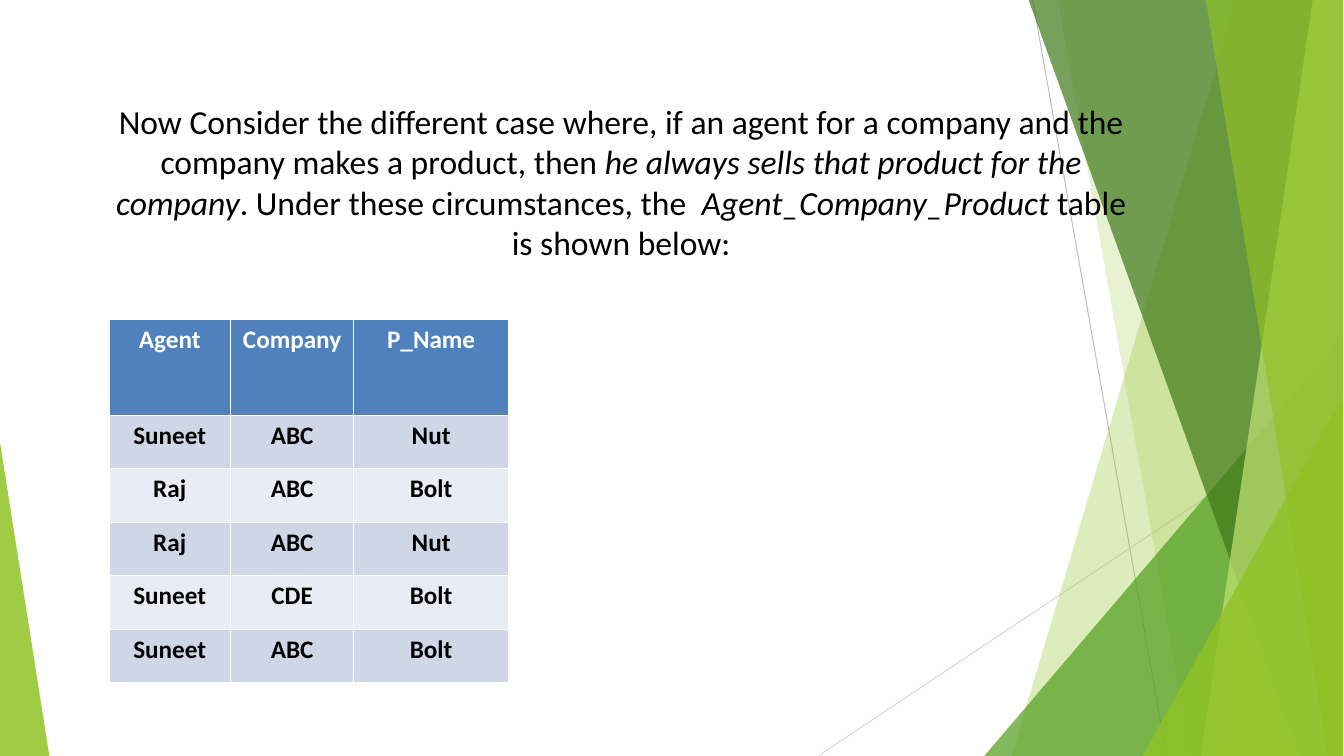
from dataclasses import dataclass

from lxml import etree
from pptx import Presentation
from pptx.dml.color import RGBColor
from pptx.enum.shapes import MSO_CONNECTOR
from pptx.enum.text import MSO_ANCHOR, MSO_AUTO_SIZE, PP_ALIGN
from pptx.oxml.ns import qn
from pptx.util import Pt

PX = 9144
WIDTH, HEIGHT, RIGHT = 1334, 750, 1333
STRAIGHT = MSO_CONNECTOR.STRAIGHT
TOP = MSO_ANCHOR.TOP
CENTER = PP_ALIGN.CENTER
NO_AUTOFIT = MSO_AUTO_SIZE.NONE


@dataclass(frozen=True)
class Theme:
    font: str = "Calibri"
    title_size: int = 24
    table_size: int = 18
    text: str = "000000"
    white: str = "FFFFFF"
    header: str = "4F81BD"
    bands: tuple = ("CFD7E7", "E8ECF4")
    lime: str = "90C225"
    green: str = "539F20"
    forest: str = "3E7818"
    pale: str = "C0E374"
    rule: str = "BEBEBE"
    light_rule: str = "D9D9D9"
    rule_width: float = 0.71
    border_width: float = 0.4
    header_border_width: float = 1.19


THEME = Theme()

RULES = [
    ((1025, 0), (1158, HEIGHT), THEME.rule),
    ((RIGHT, 403), (812, HEIGHT), THEME.light_rule),
]

CORNER = (RIGHT, HEIGHT)
FACETS = [
    ([(RIGHT, 0), (1227, 0), (1004, HEIGHT), CORNER], THEME.lime, 30),
    ([(RIGHT, 0), (1050, 0), (1182, HEIGHT), CORNER], THEME.lime, 20),
    ([(RIGHT, 333), (977, HEIGHT), CORNER], THEME.green, 72),
    ([(RIGHT, 0), (1021, 0), (1291, HEIGHT), CORNER], THEME.forest, 70),
    ([(RIGHT, 0), (1303, 0), (1192, HEIGHT), CORNER], THEME.pale, 70),
    ([(RIGHT, 0), (1197, 0), (1318, HEIGHT), CORNER], THEME.lime, 65),
    ([(RIGHT, 393), (1134, HEIGHT), CORNER], THEME.lime, 80),
    ([(0, 439), (0, HEIGHT), (49, HEIGHT)], THEME.lime, 85),
]

TITLE = [
    ("Now Consider the different case where, if an agent for a company and "
     "the company makes a product, then ", False),
    ("he always sells that product for the company", True),
    (". Under these circumstances, the  ", False),
    ("Agent_Company_Product ", True),
    ("table is shown below:", False),
]

AGENT_ROWS = [
    ("Agent", "Company", "P_Name"),
    ("Suneet", "ABC", "Nut"),
    ("Raj", "ABC", "Bolt"),
    ("Raj", "ABC", "Nut"),
    ("Suneet", "CDE", "Bolt"),
    ("Suneet", "ABC", "Bolt"),
]
COLUMN_WIDTHS = (121, 122, 154)
HEADER_HEIGHT, ROW_HEIGHT = 95, 53


def style_font(font, size, color, bold=False, italic=False):
    font.name = THEME.font
    font.size = Pt(size)
    font.bold = bold
    font.italic = italic
    font.color.rgb = RGBColor.from_string(color)


def add_rule(slide, start, end, color):
    points = [value * PX for value in (*start, *end)]
    rule = slide.shapes.add_connector(STRAIGHT, *points)
    rule.line.color.rgb = RGBColor.from_string(color)
    rule.line.width = Pt(THEME.rule_width)
    etree.SubElement(rule._element.spPr, qn("a:effectLst"))


def add_facet(slide, points, color, opacity):
    builder = slide.shapes.build_freeform(*points[0], scale=PX)
    builder.add_line_segments(points[1:], close=True)
    facet = builder.convert_to_shape()
    facet.shadow.inherit = False
    facet.line.fill.background()
    facet.fill.solid()
    facet.fill.fore_color.rgb = RGBColor.from_string(color)
    solid_color = facet._element.spPr.find(qn("a:solidFill"))[0]
    etree.SubElement(solid_color, qn("a:alpha"), val=str(opacity * 1000))


def write_title(slide, spans):
    title = slide.shapes.title
    title.left, title.top = 108 * PX, 100 * PX
    title.width, title.height = 1017 * PX, 236 * PX
    slide.shapes._spTree.append(title._element)
    frame = title.text_frame
    frame.margin_left = frame.margin_right = 0
    frame.margin_top = frame.margin_bottom = 0
    frame.word_wrap = True
    frame.auto_size = NO_AUTOFIT
    frame.vertical_anchor = TOP
    para = frame.paragraphs[0]
    para.alignment = CENTER
    for text, italic in spans:
        span = para.add_run()
        span.text = text
        style_font(span.font, THEME.title_size, THEME.text, italic=italic)


def add_border(cell, side, width):
    properties = cell._tc.get_or_add_tcPr()
    border = etree.SubElement(properties, qn(f"a:ln{side}"), w=str(Pt(width)))
    fill = etree.SubElement(border, qn("a:solidFill"))
    etree.SubElement(fill, qn("a:srgbClr"), val=THEME.white)


def fill_cell(cell, text, row):
    is_header = row == 0
    for side in "LRTB":
        heavy = (row, side) in ((0, "B"), (1, "T"))
        width = THEME.header_border_width if heavy else THEME.border_width
        add_border(cell, side, width)
    background = THEME.header if is_header else THEME.bands[(row - 1) % 2]
    cell.fill.solid()
    cell.fill.fore_color.rgb = RGBColor.from_string(background)
    cell.margin_left = cell.margin_right = 8 * PX
    cell.margin_top = cell.margin_bottom = 5 * PX
    cell.vertical_anchor = TOP
    para = cell.text_frame.paragraphs[0]
    para.text = text
    para.alignment = CENTER
    color = THEME.white if is_header else THEME.text
    style_font(para.runs[0].font, THEME.table_size, color, bold=True)


def add_agent_table(slide, left, top, rows):
    heights = [HEADER_HEIGHT] + [ROW_HEIGHT] * (len(rows) - 1)
    table = slide.shapes.add_table(
        len(rows), len(COLUMN_WIDTHS), left * PX, top * PX,
        sum(COLUMN_WIDTHS) * PX, sum(heights) * PX).table
    for column, width in zip(table.columns, COLUMN_WIDTHS):
        column.width = width * PX
    for row, (texts, height) in enumerate(zip(rows, heights)):
        table.rows[row].height = height * PX
        for column, text in enumerate(texts):
            fill_cell(table.cell(row, column), text, row)


def main():
    deck = Presentation()
    deck.slide_width, deck.slide_height = WIDTH * PX, HEIGHT * PX
    page = deck.slides.add_slide(deck.slide_layouts[5])
    for rule in RULES:
        add_rule(page, *rule)
    for facet in FACETS:
        add_facet(page, *facet)
    write_title(page, TITLE)
    add_agent_table(page, 108, 317, AGENT_ROWS)
    deck.save("out.pptx")


if __name__ == "__main__":
    main()
